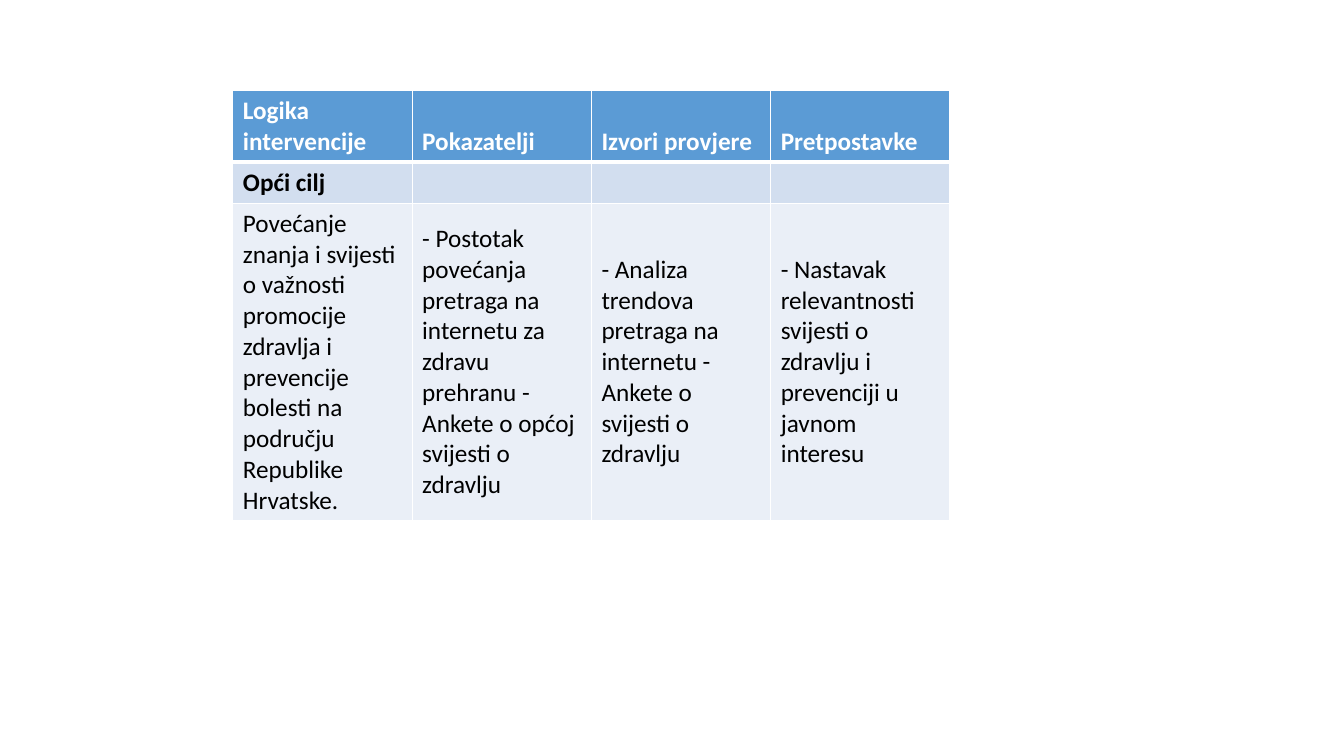
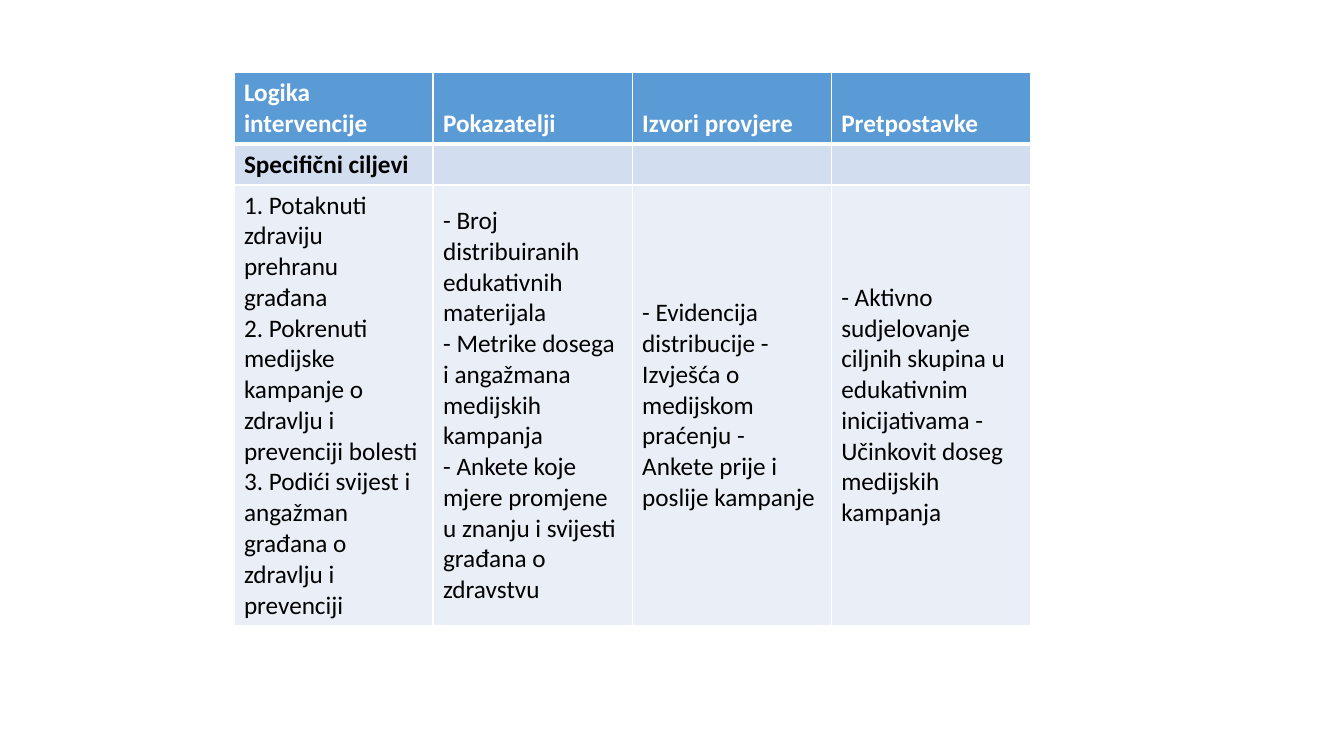
from lxml.etree import SubElement
from pptx import Presentation
from pptx.dml.color import RGBColor
from pptx.enum.text import MSO_ANCHOR
from pptx.oxml.ns import qn
from pptx.util import Inches, Pt

SLIDE_WIDTH, SLIDE_HEIGHT = Inches(13.33), Inches(7.5)
GRID_COLUMNS, GRID_ROWS = 133.3, 75

HEADINGS = ["Logika intervencije", "Pokazatelji", "Izvori provjere", "Pretpostavke"]


def color(hex_string):
    return RGBColor.from_string(hex_string)


class Deck:
    """Holds the table style and the current slide."""

    BORDER = "FFFFFF"
    THIN, THICK = 1, 3
    FONT = {"name": "Calibri", "size": Pt(18)}
    ROW_STYLES = [
        {"fill": "5B9BD5", "text": "FFFFFF", "bold": True, "anchor": MSO_ANCHOR.BOTTOM},
        {"fill": "D2DEEF", "text": "000000", "bold": True, "anchor": MSO_ANCHOR.MIDDLE},
        {"fill": "EAEFF7", "text": "000000", "bold": False, "anchor": MSO_ANCHOR.MIDDLE},
    ]

    def __init__(self):
        self.presentation = Presentation()
        self.presentation.slide_width = SLIDE_WIDTH
        self.presentation.slide_height = SLIDE_HEIGHT
        self.slide = None

    def add_slide(self):
        self.slide = self.presentation.slides.add_slide(self.presentation.slide_layouts[6])

    def across(self, columns):
        return round(SLIDE_WIDTH * columns / GRID_COLUMNS)

    def down(self, rows):
        return round(SLIDE_HEIGHT * rows / GRID_ROWS)

    def add_borders(self, cell, row_index):
        """Draw thin cell borders, with a thick line under the heading row."""
        widths = {
            "L": self.THIN,
            "R": self.THIN,
            "T": self.THICK if row_index == 1 else self.THIN,
            "B": self.THICK if row_index == 0 else self.THIN,
        }
        properties = cell._tc.get_or_add_tcPr()
        for side, width in widths.items():
            line = SubElement(properties, qn(f"a:ln{side}"), w=str(Pt(width)))
            fill = SubElement(line, qn("a:solidFill"))
            SubElement(fill, qn("a:srgbClr"), val=self.BORDER)

    def format_cell(self, cell, text, row_index):
        style = self.ROW_STYLES[row_index]
        self.add_borders(cell, row_index)
        cell.fill.solid()
        cell.fill.fore_color.rgb = color(style["fill"])
        cell.vertical_anchor = style["anchor"]
        cell.text = text
        for paragraph in cell.text_frame.paragraphs:
            for run in paragraph.runs:
                for name, value in {**self.FONT, "bold": style["bold"]}.items():
                    setattr(run.font, name, value)
                run.font.color.rgb = color(style["text"])

    def add_goal_table(self, left, top, column_width, row_heights, goal, details):
        """Add a heading row, a goal row and a detail row, measured in grid units."""
        rows = [HEADINGS, [goal] + [""] * (len(HEADINGS) - 1), details]
        table = self.slide.shapes.add_table(
            len(rows), len(HEADINGS), self.across(left), self.down(top),
            self.across(column_width * len(HEADINGS)), self.down(sum(row_heights)),
        ).table
        table.horz_banding = False
        for column in table.columns:
            column.width = self.across(column_width)
        for row_index, (texts, height) in enumerate(zip(rows, row_heights)):
            table.rows[row_index].height = self.down(height)
            for column_index, text in enumerate(texts):
                self.format_cell(table.cell(row_index, column_index), text, row_index)


GOAL_TABLES = [
    {
        "left": 23.1, "top": 9, "column_width": 17.78, "row_heights": [7.1, 4, 31],
        "goal": "Opći cilj",
        "details": [
            "Povećanje znanja i svijesti o važnosti promocije zdravlja i prevencije "
            "bolesti na području Republike Hrvatske.",
            "- Postotak povećanja pretraga na internetu za zdravu prehranu "
            "- Ankete o općoj svijesti o zdravlju",
            "- Analiza trendova pretraga na internetu - Ankete o svijesti o zdravlju",
            "- Nastavak relevantnosti svijesti o zdravlju i prevenciji u javnom interesu",
        ],
    },
    {
        "left": 23.2, "top": 7.2, "column_width": 19.75, "row_heights": [7.1, 4, 43.5],
        "goal": "Specifični ciljevi",
        "details": [
            "1. Potaknuti zdraviju prehranu građana\n"
            "2. Pokrenuti medijske kampanje o zdravlju i prevenciji bolesti "
            "3. Podići svijest i angažman građana o zdravlju i prevenciji",
            "- Broj distribuiranih edukativnih materijala\v"
            "- Metrike dosega i angažmana medijskih kampanja\v"
            "- Ankete koje mjere promjene u znanju i svijesti građana o zdravstvu",
            "- Evidencija distribucije - Izvješća o medijskom praćenju "
            "- Ankete prije i poslije kampanje",
            "- Aktivno sudjelovanje ciljnih skupina u edukativnim inicijativama "
            "- Učinkovit doseg medijskih kampanja",
        ],
    },
]


def main():
    deck = Deck()
    for goal_table in GOAL_TABLES:
        deck.add_slide()
        deck.add_goal_table(**goal_table)
    deck.presentation.save("out.pptx")


if __name__ == "__main__":
    main()
